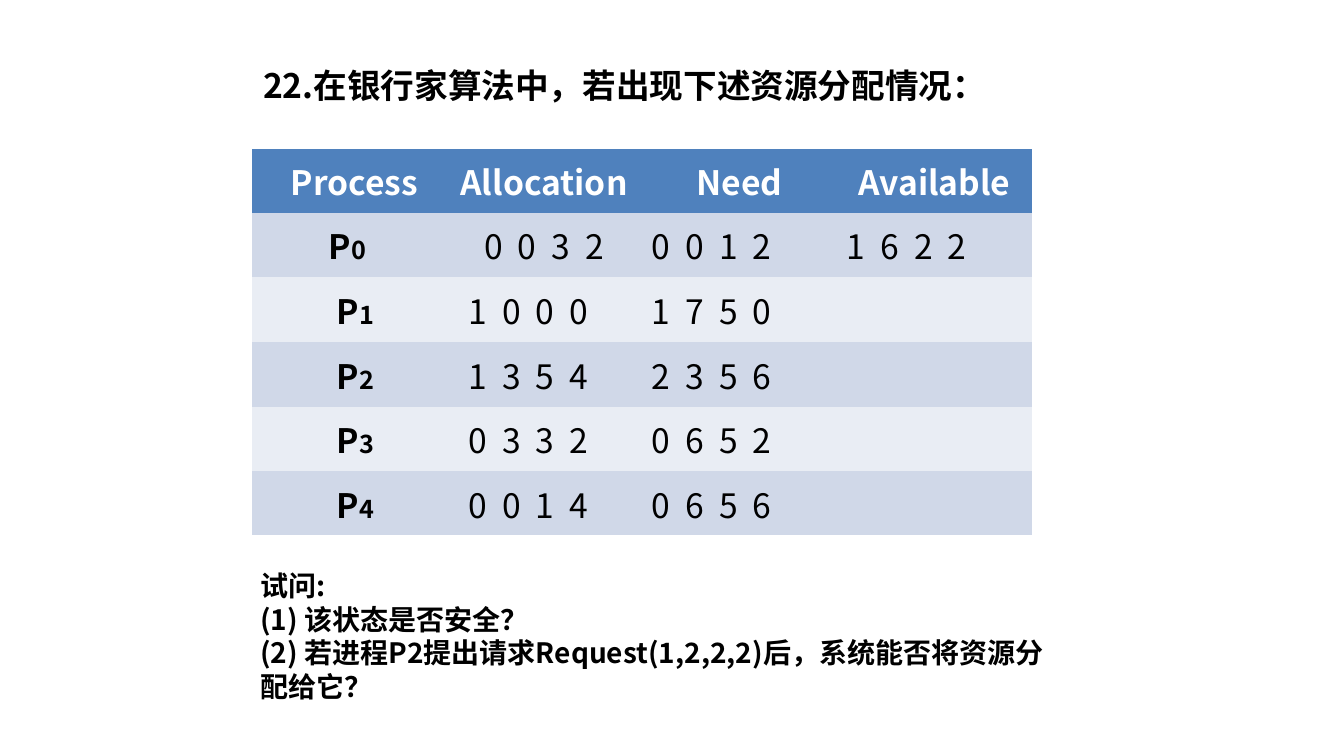
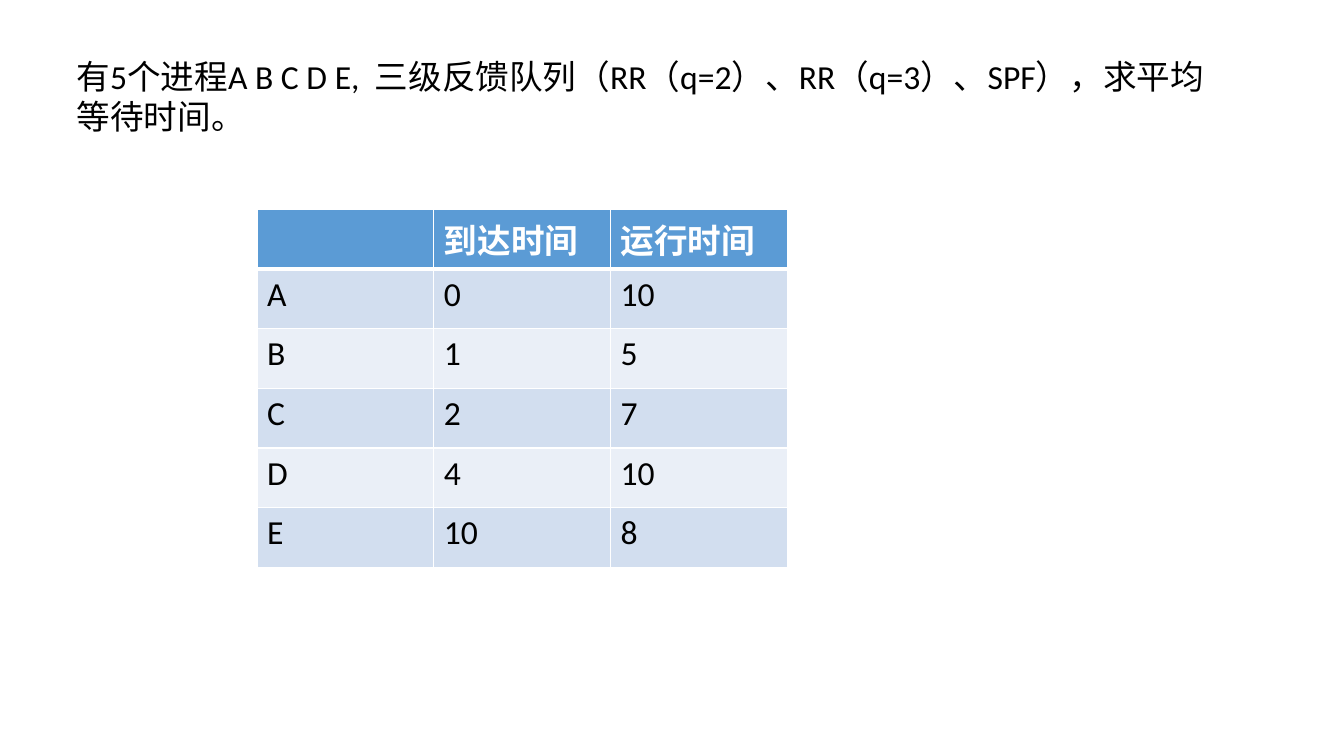
from dataclasses import dataclass
from typing import NamedTuple

from lxml.etree import SubElement
from pptx import Presentation
from pptx.dml.color import RGBColor
from pptx.enum.text import MSO_ANCHOR, MSO_AUTO_SIZE, PP_ALIGN
from pptx.oxml.ns import qn
from pptx.util import Inches, Pt

LEFT, MID = PP_ALIGN.LEFT, PP_ALIGN.CENTER
PLAIN = "{2D5ABB26-0587-4C30-8999-92F81FD0307C}"  # table style without grid


@dataclass(frozen=True)
class Theme:
    wide: float = 13.33
    high: float = 7.5
    ink: str = "000000"
    white: str = "FFFFFF"
    large: float = 24
    body: float = 20
    small: float = 18
    latin: str = "Calibri"
    cjk: str = "Noto Sans CJK SC"


class Box(NamedTuple):
    """Place and size in percent of the slide."""
    left: float
    top: float
    wide: float
    high: float

    def frame(self) -> tuple:
        return (Inches(self.left * THEME.wide / 100), Inches(self.top * THEME.high / 100),
                Inches(self.wide * THEME.wide / 100), Inches(self.high * THEME.high / 100))


class Style(NamedTuple):
    font: str
    size: float
    bold: bool = False
    color: str = "000000"
    space: float = 0


class Bit(NamedTuple):
    text: str
    style: Style


class Cell(NamedTuple):
    bits: tuple = ()
    align: PP_ALIGN = LEFT
    indent: float = 0


class Look(NamedTuple):
    head: str
    odd: str
    even: str
    grid: bool
    anchor: MSO_ANCHOR
    before: float


THEME = Theme()
BOLD = Style(THEME.cjk, THEME.large, True, THEME.ink)
HEAD = BOLD._replace(color=THEME.white)
SMALL = BOLD._replace(size=THEME.small)
ASK = BOLD._replace(size=THEME.body)
DIGIT = BOLD._replace(bold=False, space=2.7)
TEXT = Style(THEME.latin, THEME.large, False, THEME.ink)
TOP = TEXT._replace(bold=True, color=THEME.white)
BANK = Look("4F81BD", "D0D8E8", "E9EDF4", False, MSO_ANCHOR.MIDDLE, 4.8)
QUEUE = Look("5B9BD5", "D2DEEF", "EAEFF7", True, MSO_ANCHOR.TOP, 0)


def write(para, bits: tuple) -> None:
    """Add styled runs to a paragraph."""
    for text, style in bits:
        run = para.add_run()
        run.text = text
        font = run.font
        font.size, font.bold = Pt(style.size), style.bold
        font.color.rgb = RGBColor.from_string(style.color)
        font.name = style.font
        props = run._r.get_or_add_rPr()
        if style.font == THEME.cjk:
            SubElement(props, qn("a:ea")).set("typeface", style.font)
        if style.space:
            props.set("spc", str(round(style.space * 100)))


def fill(shape, box: Box, lines: list[str], style: Style) -> None:
    """Place a placeholder and write plain lines without bullets."""
    shape.left, shape.top, shape.width, shape.height = box.frame()
    frame = shape.text_frame
    frame.word_wrap, frame.auto_size = True, MSO_AUTO_SIZE.NONE
    frame.vertical_anchor = MSO_ANCHOR.TOP
    for i, line in enumerate(lines):
        para = frame.add_paragraph() if i else frame.paragraphs[0]
        para.alignment, para.space_before = LEFT, Pt(0)
        props = para._p.get_or_add_pPr()
        props.set("marL", "0")
        props.set("indent", "0")
        SubElement(props, qn("a:buNone"))
        write(para, (Bit(line, style),))


def edge(cell, side: str, width: float) -> None:
    """Draw one white cell border."""
    line = SubElement(cell._tc.get_or_add_tcPr(), qn(f"a:ln{side}"), w=str(Pt(width)))
    paint = SubElement(line, qn("a:solidFill"))
    SubElement(paint, qn("a:srgbClr"), val=THEME.white)


def draw(slide, box: Box, rows: list[list[Cell]], look: Look) -> None:
    """Draw a banded table with equal columns and rows."""
    count, cols = len(rows), len(rows[0])
    table = slide.shapes.add_table(count, cols, *box.frame()).table
    table._tbl.tblPr.find(qn("a:tableStyleId")).text = PLAIN
    for r, row in enumerate(rows):
        for c, item in enumerate(row):
            cell = table.cell(r, c)
            cell.vertical_anchor = look.anchor
            outer = {"L": c == 0, "R": c == cols - 1, "T": r == 0, "B": r == count - 1}
            for side, out in outer.items():
                if look.grid or out:
                    seam = look.grid and (r, side) in ((0, "B"), (1, "T"))
                    edge(cell, side, 3 if seam else 1)
            cell.fill.solid()
            shade = look.head if r == 0 else look.odd if r % 2 else look.even
            cell.fill.fore_color.rgb = RGBColor.from_string(shade)
            if item.bits:
                para = cell.text_frame.paragraphs[0]
                para.alignment, para.space_before = item.align, Pt(look.before)
                para._p.get_or_add_pPr().set("marL", str(Inches(item.indent)))
                write(para, item.bits)


def label(text: str, style: Style, align: PP_ALIGN = LEFT, indent: float = 0) -> Cell:
    return Cell((Bit(text, style),) if text else (), align, indent)


def bank(deck) -> None:
    """Slide 1: the banker's algorithm."""
    slide = deck.slides.add_slide(deck.slide_layouts[1])
    fill(slide.shapes.title, Box(18.83, 7.87, 62.5, 6.67),
         ["22.在银行家算法中，若出现下述资源分配情况："], BOLD)
    fill(slide.placeholders[1], Box(18.6, 74.53, 60.9, 19.33),
         ["试问:", "(1) 该状态是否安全？",
          "(2) 若进程P2提出请求Request(1,2,2,2)后，系统能否将资源分配给它？"], ASK)
    names = ("Process", "Allocation", "Need", "Available")
    rows = [[label(name, HEAD, MID, 0 if i else 0.11) for i, name in enumerate(names)]]
    data = (("0 0 3 2", "0 0 1 2", "1 6 2 2"), ("1 0 0 0", "1 7 5 0", ""),
            ("1 3 5 4", "2 3 5 6", ""), ("0 3 3 2", "0 6 5 2", ""),
            ("0 0 1 4", "0 6 5 6", ""))
    for i, (held, need, free) in enumerate(data):
        name = Cell((Bit("P", BOLD), Bit(str(i), SMALL)), LEFT, 0.75 if i else 0.67)
        first = label(held, DIGIT, LEFT, 0.12) if i else label(held, DIGIT, MID)
        rows.append([name, first, label(need, DIGIT), label(free, DIGIT)])
    draw(slide, Box(18.68, 19.6, 58.12, 51.33), rows, BANK)


def queue(deck) -> None:
    """Slide 2: the feedback queue."""
    slide = deck.slides.add_slide(deck.slide_layouts[5])
    fill(slide.shapes.title, Box(4.95, 6.67, 87.83, 12.13),
         ["有5个进程A B C D E,  三级反馈队列（RR（q=2）、RR（q=3）、SPF），求平均等待时间。"], TEXT)
    data = (("", "到达时间", "运行时间"), ("A", "0", "10"), ("B", "1", "5"),
            ("C", "2", "7"), ("D", "4", "10"), ("E", "10", "8"))
    rows = [[label(text, TEXT if r else TOP) for text in row] for r, row in enumerate(data)]
    draw(slide, Box(19.13, 27.73, 39.45, 47.33), rows, QUEUE)


def main() -> None:
    deck = Presentation()
    deck.slide_width, deck.slide_height = Inches(THEME.wide), Inches(THEME.high)
    bank(deck)
    queue(deck)
    deck.save("out.pptx")


if __name__ == "__main__":
    main()
